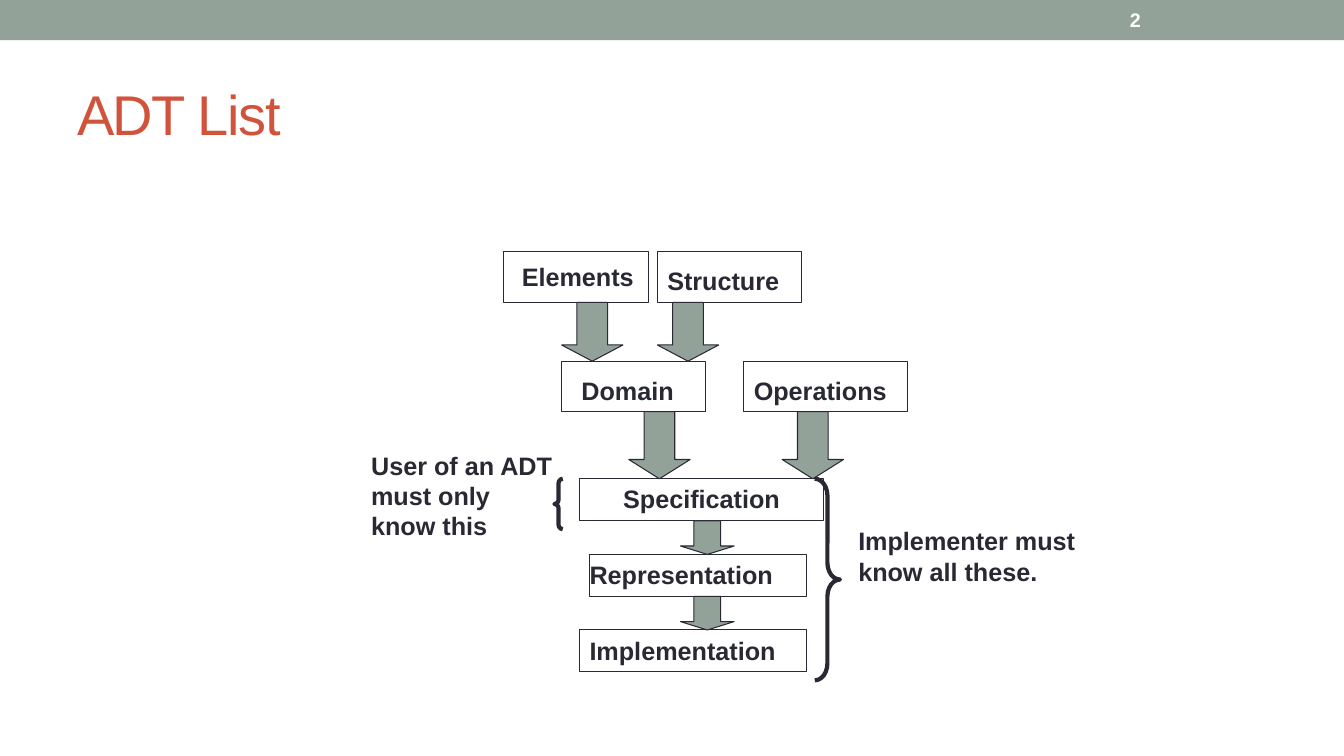
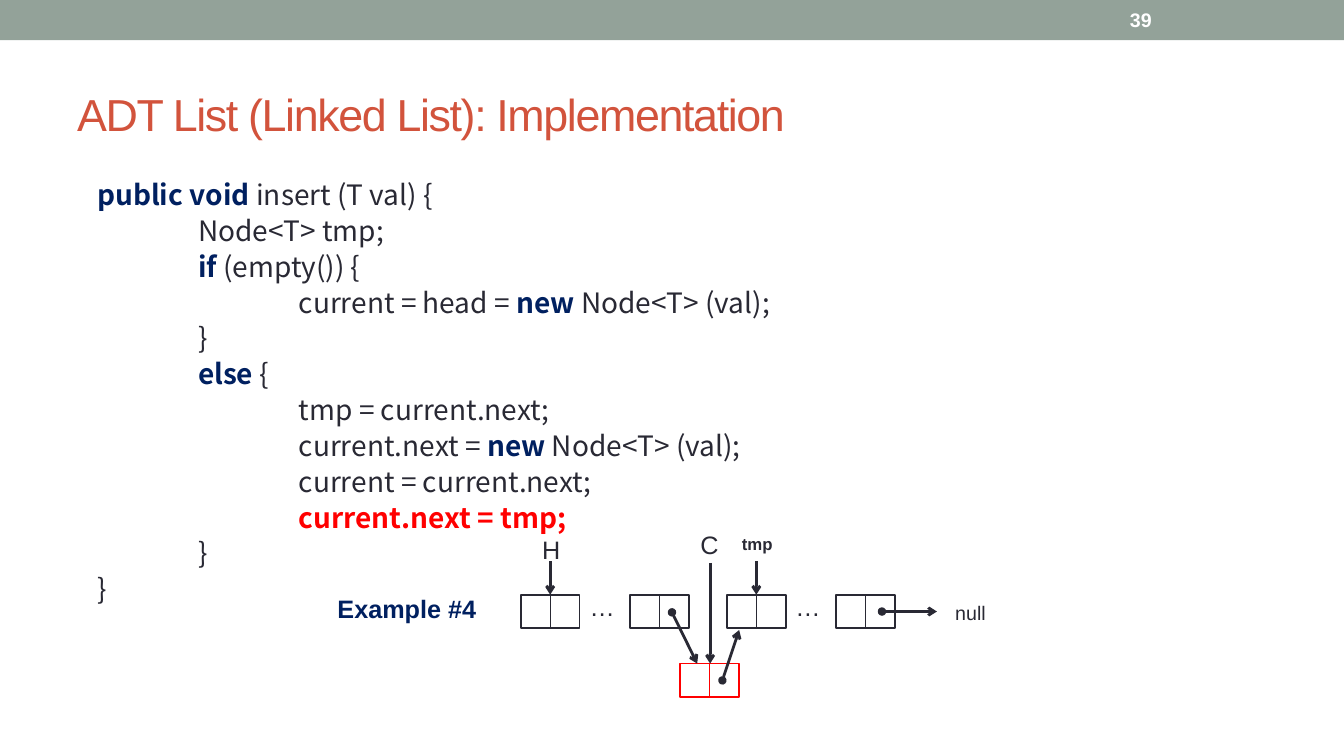
from lxml.etree import SubElement
from pptx import Presentation
from pptx.dml.color import RGBColor
from pptx.enum.shapes import MSO_CONNECTOR, MSO_SHAPE
from pptx.enum.text import MSO_ANCHOR
from pptx.oxml.ns import qn
from pptx.util import Inches, Pt

# The slide is a grid of 160 columns by 90 rows, twelve to the inch.
COLS, ROWS, PER_INCH = 160, 90, 12
SAGE, BRICK, INK, NAVY = "93A299", "D2533C", "292934", "002060"
WHITE, RED = "FFFFFF", "FF0000"
SANS, CODE = "Arial", "Noto Sans CJK SC"


def grid(count):
    """Turn grid columns or rows into a slide length."""
    return Inches(count / PER_INCH)


def rgb(code):
    """Turn a hex string into a colour."""
    return RGBColor.from_string(code)


def style(run, size, color=INK, bold=False, face=SANS):
    """Format one run."""
    run.font.size, run.font.bold, run.font.name = Pt(size), bold, face
    run.font.color.rgb = rgb(color)


def add_text(slide, box, text, size=18, color=INK, bold=False, wrap=False,
             anchor=MSO_ANCHOR.TOP):
    """Place a text, one paragraph a line, and return its frame."""
    frame = slide.shapes.add_textbox(*map(grid, box)).text_frame
    frame.word_wrap, frame.vertical_anchor = wrap, anchor
    frame.text = text
    for paragraph in frame.paragraphs:
        for run in paragraph.runs:
            style(run, size, color, bold)
    return frame


def add_figure(slide, kind, box, fill=None, line=None, weight=0.75, adjust=()):
    """Place a preset shape without shadow."""
    figure = slide.shapes.add_shape(kind, *map(grid, box))
    figure.shadow.inherit = False
    for index, value in enumerate(adjust):
        figure.adjustments[index] = value
    if fill:
        figure.fill.solid()
        figure.fill.fore_color.rgb = rgb(fill)
    else:
        figure.fill.background()
    if line:
        figure.line.color.rgb = rgb(line)
        figure.line.width = Pt(weight)
    else:
        figure.line.fill.background()


def add_line(slide, start, end, color=INK, weight=2.0, head=None, tail=None):
    """Draw a straight line with optional ends."""
    link = slide.shapes.add_connector(
        MSO_CONNECTOR.STRAIGHT, *map(grid, (*start, *end)))
    link.line.color.rgb = rgb(color)
    link.line.width = Pt(weight)
    outline = link.line._get_or_add_ln()
    for tag, ending in (("a:headEnd", head), ("a:tailEnd", tail)):
        if ending:
            SubElement(outline, qn(tag), type=ending)
    SubElement(link._element.spPr, qn("a:effectLst"))


def add_page(deck, title, number, title_size):
    """Start a slide with the band, page number and title."""
    slide = deck.slides.add_slide(deck.slide_layouts[6])
    add_figure(slide, MSO_SHAPE.RECTANGLE, (0, 0, COLS, 4.8), SAGE)
    heading = add_text(slide, (8, 7, COLS - 16, 13), title, title_size, BRICK,
                       wrap=True, anchor=MSO_ANCHOR.MIDDLE)
    heading.paragraphs[0].runs[0].font._element.set("spc", "-100")
    add_text(slide, (133.34, 0.2, 18.7, 4.4), number, 14, WHITE, True, True,
             MSO_ANCHOR.MIDDLE)
    return slide


def adt_diagram(slide, left, top):
    """Draw the parts of the ADT, their arrows and the two braces."""
    # name, column, row, width, height, label offset and label width
    parts = (
        ("Elements", 0, 0, 17.16, 6, 0.94, 0.5, 16.3),
        ("Structure", 18.26, 0, 17.16, 6, 0, 1, 15.8),
        ("Domain", 6.84, 13, 17.16, 6, 1.2, 1.04, 13.6),
        ("Operations", 28.56, 13, 19.44, 6, 0, 1.04, 19.2),
        ("Specification", 9, 27, 29, 5, 4, 0, 22.4),
        ("Representation", 10.14, 36, 25.86, 5, -1.14, 0, 25.8),
        ("Implementation", 9, 45, 27, 5, 0, 0, 24.8),
    )
    for name, col, row, width, height, dx, dy, label_width in parts:
        x, y = left + col, top + row
        add_figure(slide, MSO_SHAPE.RECTANGLE, (x, y, width, height), line=INK)
        add_text(slide, (x + dx, y + dy, label_width, 4.8), name, bold=True)

    # row, width, height, head share and the columns of each arrow pair
    arrows = ((6, 7.3, 7, 0.275, (6.86, 18.26)),
              (19, 7.3, 8, 0.314, (14.86, 33.12)),
              (32, 6.4, 4, 0.25, (21,)),
              (41, 6.4, 4, 0.25, (21,)))
    for row, width, height, share, columns in arrows:
        for col in columns:
            add_figure(slide, MSO_SHAPE.DOWN_ARROW,
                       (left + col, top + row, width, height), SAGE, INK,
                       adjust=(0.5, share))

    braces = ((MSO_SHAPE.LEFT_BRACE, 6, 1, 6, 0.5),
              (MSO_SHAPE.RIGHT_BRACE, 37, 3, 24, 0.667))
    for kind, col, width, height, curve in braces:
        add_figure(slide, kind, (left + col, top + 27, width, height),
                   line=INK, weight=3, adjust=(curve, 0.5))
    add_text(slide, (left - 17, top + 23, 24.2, 12.1),
             "User of an ADT\nmust only \nknow this", bold=True)
    add_text(slide, (left + 41, top + 32, 28.6, 8.5),
             "Implementer must\nknow all these.", bold=True)


def code_listing(slide, box, lines):
    """Set code lines, each a level and (text, colour) pieces."""
    frame = add_text(slide, box, "", wrap=True)
    for index, (level, *pieces) in enumerate(lines):
        paragraph = frame.add_paragraph() if index else frame.paragraphs[0]
        paragraph.line_spacing = 0.9
        paragraph.space_before = Pt(4 if index else 0)
        paragraph._p.get_or_add_pPr().set("marL", str(Inches(0.2 + level)))
        for text, color in pieces:
            run = paragraph.add_run()
            run.text = text
            style(run, 20, color, color != INK, CODE)


def linked_list(slide, left, top):
    """Draw the nodes, pointers and labels of the linked list."""
    width, height, new_row = 7, 4, 8.2
    nodes = [(col, 0, INK) for col in (0, 13, 24.54, 37.54)]
    for col, row, color in nodes + [(19, new_row, RED)]:
        x, y, middle = left + col, top + row, left + col + width / 2
        add_figure(slide, MSO_SHAPE.RECTANGLE, (x, y, width, height), WHITE,
                   color, 1.25)
        add_line(slide, (middle, y), (middle, y + height), color, 0.75)

    pointers = ((3.5, -4, 3.5, 0, None), (22.54, -3.8, 22.54, new_row, None),
                (28.04, -4, 28.04, 0, None), (43, 2, 49.54, 2, "oval"),
                (18, 2.1, 21, new_row, "oval"), (24, 10.2, 26, 4.2, "oval"))
    for x1, y1, x2, y2, head in pointers:
        add_line(slide, (left + x1, top + y1), (left + x2, top + y2),
                 head=head, tail="arrow")

    labels = (("H", 1.36, -7.8, 4.7, 18, INK, False),
              ("C", 20.2, -8.34, 4.7, 18, INK, False),
              ("tmp", 25.14, -7.8, 6.4, 12, INK, True),
              ("…", 7, -1, 5.4, 18, INK, False),
              ("…", 31.5, -1, 5.4, 18, INK, False),
              ("null", 50.54, 0.1, 6.1, 14, INK, False),
              ("Example #4", -23, -0.8, 19.7, 18, NAVY, True))
    for text, col, row, label_width, size, color, bold in labels:
        add_text(slide, (left + col, top + row, label_width, size * 0.27),
                 text, size, color, bold)


INSERT_CODE = (
    (0, ("public void ", NAVY), ("insert (T val) {", INK)),
    (1, ("Node<T> tmp;", INK)),
    (1, ("if", NAVY), (" (empty()) {", INK)),
    (2, ("current = head = ", INK), ("new", NAVY), (" Node<T> (val);", INK)),
    (1, ("}", INK)),
    (1, ("else", NAVY), (" {", INK)),
    (2, ("tmp = current.next;", INK)),
    (2, ("current.next = ", INK), ("new", NAVY), (" Node<T> (val);", INK)),
    (2, ("current = current.next;", INK)),
    (2, ("current.next = tmp;", RED)),
    (1, ("}", INK)),
    (0, ("}", INK)),
)

deck = Presentation()
deck.slide_width, deck.slide_height = grid(COLS), grid(ROWS)

overview = add_page(deck, "ADT List", "2", 40)
adt_diagram(overview, 60, 30)

insertion = add_page(deck, "ADT List (Linked List): Implementation", "39", 32)
code_listing(insertion, (8, 21, COLS - 16, 64), INSERT_CODE)
linked_list(insertion, 62, 70.8)

deck.save("out.pptx")
